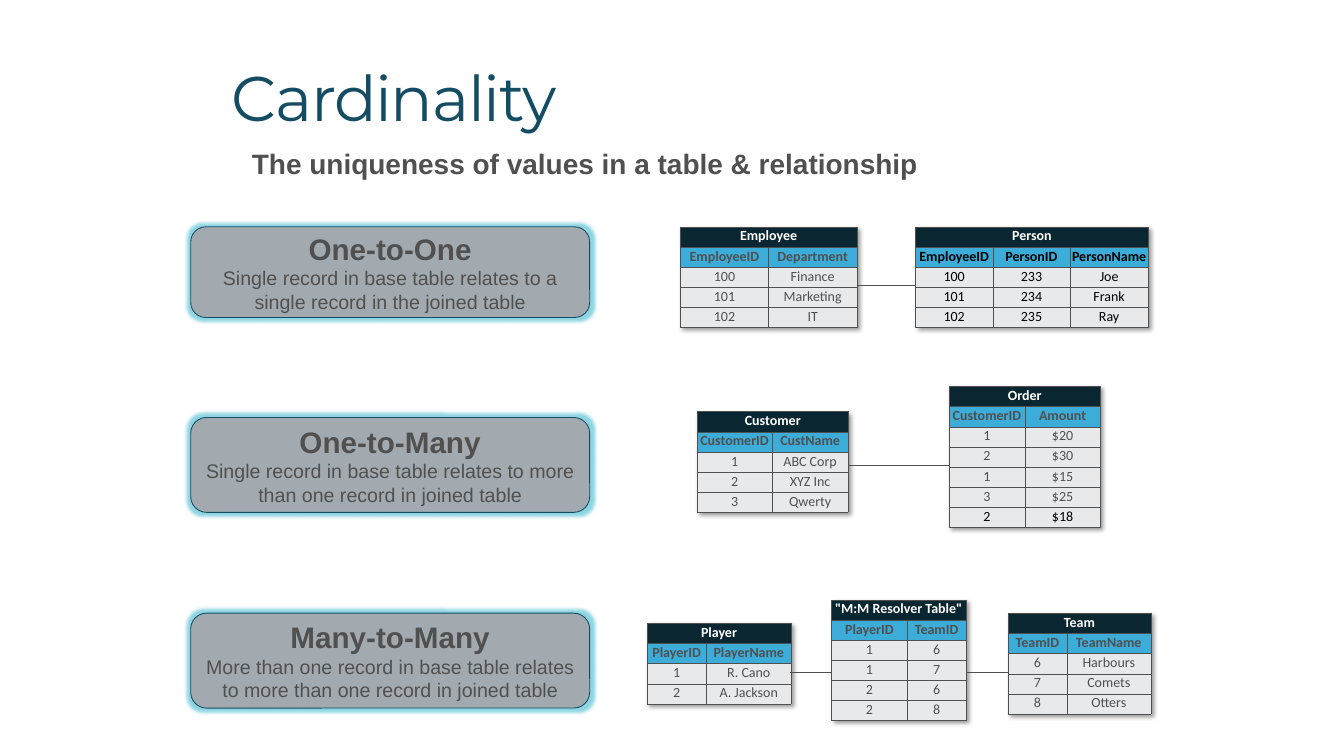
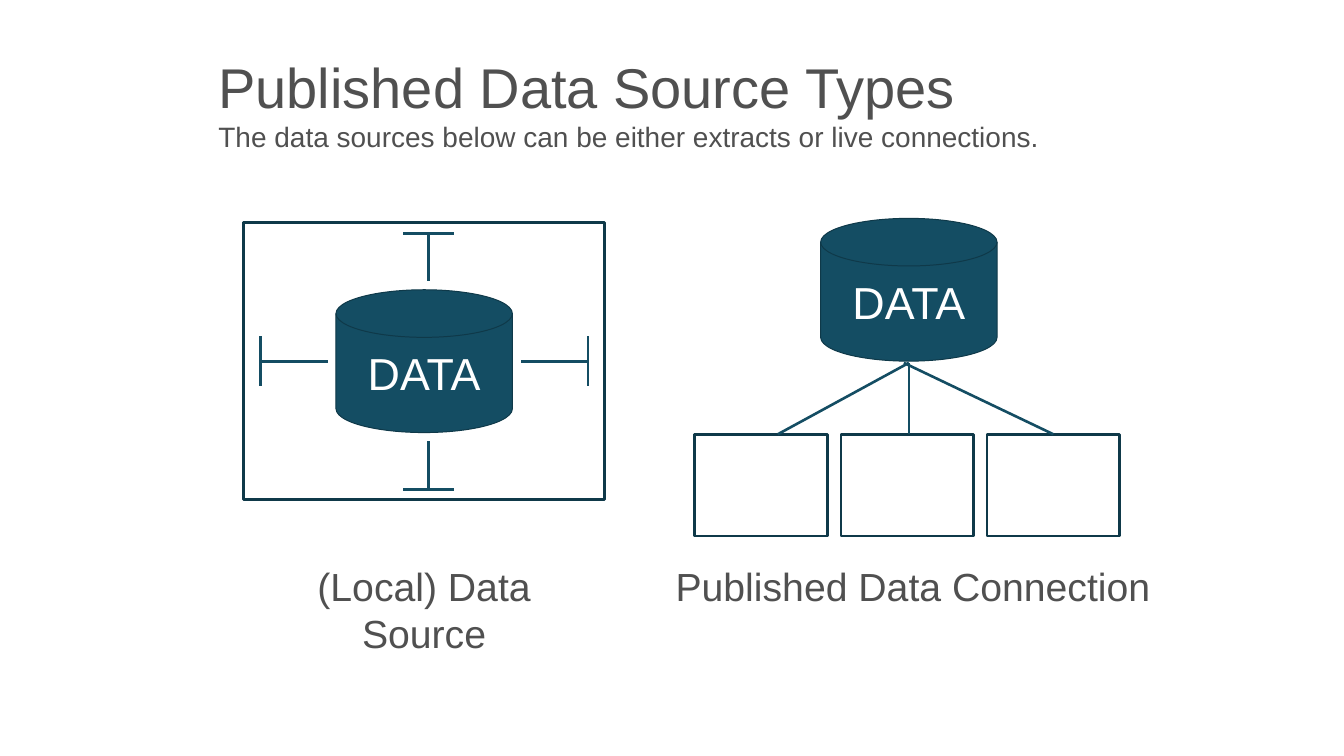
import lxml.etree
import pptx
import pptx.dml.color
import pptx.enum.shapes
import pptx.enum.text
import pptx.oxml.ns
import pptx.util

Inches = pptx.util.Inches
Pt = pptx.util.Pt
qn = pptx.oxml.ns.qn
SHAPES = pptx.enum.shapes.MSO_SHAPE
ALIGN = pptx.enum.text.PP_ALIGN
ANCHOR = pptx.enum.text.MSO_ANCHOR

COLORS = {
    "teal": "144D63",
    "outline": "0F3949",
    "grey": "505050",
    "card": "A2AAB0",
    "glow": "7FD0DE",
    "table_head": "0A2631",
    "column_head": "3CACD8",
    "cell": "E7E9EA",
    "white": "FFFFFF",
    "black": "000000",
}
ROW_HEIGHT = 0.24


def rgb(name):
    """Return the named colour."""
    return pptx.dml.color.RGBColor.from_string(COLORS[name])


def add_color(parent, name, alpha):
    """Add a translucent colour element to an XML parent."""
    color = lxml.etree.SubElement(parent, qn("a:srgbClr"), val=COLORS[name])
    lxml.etree.SubElement(color, qn("a:alpha"), val=str(alpha * 1000))


class Deck:
    """Hold the shared style and the current slide."""

    def __init__(self):
        """Start an empty widescreen presentation."""
        self.presentation = pptx.Presentation()
        self.presentation.slide_width = Inches(16)
        self.presentation.slide_height = Inches(9)
        self.slide = None

    def new_slide(self):
        """Add a slide that has only a title."""
        layout = self.presentation.slide_layouts[5]
        self.slide = self.presentation.slides.add_slide(layout)

    def set_text(self, shape, lines, color="grey", align=ALIGN.CENTER, anchor=ANCHOR.MIDDLE, font="Arial"):
        """Fill a shape with lines of (text, size, bold)."""
        frame = shape.text_frame
        frame.text = "\n".join(line[0] for line in lines)
        frame.word_wrap = True
        frame.vertical_anchor = anchor
        for paragraph, (_, size, bold) in zip(frame.paragraphs, lines):
            paragraph.alignment = align
            for run in paragraph.runs:
                run.font.name = font
                run.font.size = Pt(size)
                run.font.bold = bold
                run.font.color.rgb = rgb(color)

    def title(self, left, top, width, height, lines, **style):
        """Move and fill the title placeholder."""
        shape = self.slide.shapes.title
        shape.left, shape.top = Inches(left), Inches(top)
        shape.width, shape.height = Inches(width), Inches(height)
        self.set_text(shape, lines, align=ALIGN.LEFT, anchor=ANCHOR.TOP, **style)
        shape.text_frame.auto_size = pptx.enum.text.MSO_AUTO_SIZE.NONE
        return shape

    def text(self, left, top, width, height, line, align=ALIGN.CENTER):
        """Add a text box with one paragraph."""
        box = self.slide.shapes.add_textbox(Inches(left), Inches(top), Inches(width), Inches(height))
        self.set_text(box, [line], align=align, anchor=ANCHOR.TOP)

    def shape(self, kind, left, top, width, height, line, weight, fill=None):
        """Add a preset shape with an outline and an optional fill."""
        shape = self.slide.shapes.add_shape(kind, Inches(left), Inches(top), Inches(width), Inches(height))
        shape.shadow.inherit = False
        shape.line.color.rgb = rgb(line)
        shape.line.width = Pt(weight)
        if fill:
            shape.fill.solid()
            shape.fill.fore_color.rgb = rgb(fill)
        else:
            shape.fill.background()
        return shape

    def frame(self, left, top, width, height):
        """Add an empty outlined rectangle."""
        self.shape(SHAPES.RECTANGLE, left, top, width, height, "outline", 2.25)

    def card(self, top, height, heading, description):
        """Add a glowing rounded card."""
        card = self.shape(SHAPES.ROUNDED_RECTANGLE, 2.27, top, 4.75, height, "teal", 0.75, "card")
        effects = card.element.spPr.find(qn("a:effectLst"))
        glow = lxml.etree.SubElement(effects, qn("a:glow"), rad=str(Pt(6)))
        add_color(glow, "glow", 90)
        self.set_text(card, [(heading, 25.4, True), (description, 16.8, False)])

    def cylinder(self, left, top):
        """Add a data store."""
        disk = self.shape(SHAPES.FLOWCHART_MAGNETIC_DISK, left, top, 2.1, 1.7, "outline", 0.85, "teal")
        self.set_text(disk, [("DATA", 38.4, False)], color="white")

    def line(self, x1, y1, x2, y2, color="teal", weight=2.25):
        """Add a straight line."""
        connector = self.slide.shapes.add_connector(
            pptx.enum.shapes.MSO_CONNECTOR.STRAIGHT, Inches(x1), Inches(y1), Inches(x2), Inches(y2))
        connector.line.color.rgb = rgb(color)
        connector.line.width = Pt(weight)
        lxml.etree.SubElement(connector.element.spPr, qn("a:effectLst"))

    def barred_line(self, x, y, dx, dy):
        """Add a line that starts at the middle of a crossbar."""
        half_x, half_y = (0, 0.3) if dx else (0.3, 0)
        self.line(x - half_x, y - half_y, x + half_x, y + half_y)
        self.line(x, y, x + dx, y + dy)

    def cell(self, cell, text, fill, color, bold):
        """Fill and border one table cell."""
        cell.margin_left = cell.margin_top = cell.margin_right = Inches(0.01)
        cell.margin_bottom = 0
        self.set_text(cell, [(text, 12, bold)], color=color, anchor=ANCHOR.BOTTOM, font="Calibri")
        properties = cell._tc.get_or_add_tcPr()
        for side in ("a:lnL", "a:lnR", "a:lnT", "a:lnB"):
            border = lxml.etree.SubElement(properties, qn(side), w=str(Pt(0.25)))
            solid = lxml.etree.SubElement(border, qn("a:solidFill"))
            lxml.etree.SubElement(solid, qn("a:srgbClr"), val=COLORS["grey"])
        cell.fill.solid()
        cell.fill.fore_color.rgb = rgb(fill)

    def table(self, left, top, widths, name, rows, black_rows=()):
        """Add a named database table with a shadow."""
        columns = len(widths)
        rows = [[name] + [""] * (columns - 1)] + rows
        table = self.slide.shapes.add_table(
            len(rows), columns, Inches(left), Inches(top),
            Inches(sum(widths)), Inches(ROW_HEIGHT * len(rows))).table
        table.first_row = table.horz_banding = False
        for column, width in zip(table.columns, widths):
            column.width = Inches(width)
        for index, values in enumerate(rows):
            table.rows[index].height = Inches(ROW_HEIGHT)
            fill = ("table_head", "column_head")[index] if index < 2 else "cell"
            color = "black" if index in black_rows else "grey" if index else "white"
            for column, value in enumerate(values):
                self.cell(table.cell(index, column), value, fill, color, index < 2)
        table.cell(0, 0).merge(table.cell(0, columns - 1))
        effects = lxml.etree.Element(qn("a:effectLst"))
        shadow = lxml.etree.SubElement(
            effects, qn("a:outerShdw"), blurRad=str(Pt(4)), dist=str(Pt(3)),
            dir="2700000", algn="tl", rotWithShape="0")
        add_color(shadow, "black", 40)
        table._tbl.tblPr.insert(0, effects)


def cardinality_slide(deck):
    """Build the slide on cardinality."""
    deck.new_slide()
    title = deck.title(2.6, 0.7, 10.8, 1, [("Cardinality", 54, False)], color="teal", font="Montserrat")
    title.text_frame.margin_left = title.text_frame.margin_right = Inches(0.16)
    title.text_frame.margin_top = title.text_frame.margin_bottom = Inches(0.1)
    paragraph = title.text_frame.paragraphs[0]
    paragraph.line_spacing = 0.9
    paragraph.runs[0].font._element.set("spc", "-120")
    deck.text(2.9, 1.7, 8.2, 0.5, ("The uniqueness of values in a table & relationship", 24, True), ALIGN.LEFT)

    cards = [
        (2.7, 1.08, "One-to-One", "Single record in base table relates to a single record in the joined table"),
        (4.97, 1.13, "One-to-Many", "Single record in base table relates to more than one record in joined table"),
        (7.3, 1.13, "Many-to-Many",
         "More than one record in base table relates to more than one record in joined table"),
    ]
    for card in cards:
        deck.card(*card)

    tables = [
        (10.9, 2.7, [0.92, 0.92, 0.93], "Person",
         [["EmployeeID", "PersonID", "PersonName"],
          ["100", "233", "Joe"], ["101", "234", "Frank"], ["102", "235", "Ray"]], range(1, 5)),
        (8.1, 2.7, [1.05, 1.05], "Employee",
         [["EmployeeID", "Department"], ["100", "Finance"], ["101", "Marketing"], ["102", "IT"]]),
        (8.3, 4.9, [0.89, 0.91], "Customer",
         [["CustomerID", "CustName"], ["1", "ABC Corp"], ["2", "XYZ Inc"], ["3", "Qwerty"]]),
        (11.3, 4.6, [0.9, 0.9], "Order",
         [["CustomerID", "Amount"], ["1", "$20"], ["2", "$30"], ["1", "$15"], ["3", "$25"], ["2", "$18"]], [6]),
        (7.7, 7.42, [0.71, 1.01], "Player",
         [["PlayerID", "PlayerName"], ["1", "R. Cano"], ["2", "A. Jackson"]]),
        (9.9, 7.14, [0.9, 0.7], '"M:M Resolver Table"',
         [["PlayerID", "TeamID"], ["1", "6"], ["1", "7"], ["2", "6"], ["2", "8"]]),
        (12, 7.3, [0.7, 1], "Team",
         [["TeamID", "TeamName"], ["6", "Harbours"], ["7", "Comets"], ["8", "Otters"]]),
    ]
    for table in tables:
        deck.table(*table)
    for start, end, y in [(10.2, 10.9, 3.4), (10.1, 11.3, 5.54), (9.4, 9.9, 8), (11.5, 12, 8)]:
        deck.line(start, y, end, y, "grey", 0.85)


def data_source_slide(deck):
    """Build the slide on data source types."""
    deck.new_slide()
    deck.title(2.5, 0.57, 10.93, 1.31, [
        ("Published Data Source Types", 48, False),
        ("The data sources below can be either extracts or live connections.", 24, False)])

    deck.frame(2.9, 2.65, 4.3, 3.3)
    deck.cylinder(4, 3.45)
    for arm in [(5.1, 2.78, 0, 0.57), (7, 4.3, -0.8, 0), (3.1, 4.3, 0.8, 0), (5.1, 5.83, 0, -0.58)]:
        deck.barred_line(*arm)
    deck.text(2.9, 6.65, 4.3, 1.23, ("(Local) Data Source", 33.6, False))

    deck.cylinder(9.77, 2.6)
    for index in range(3):
        deck.frame(8.27 + 1.74 * index, 5.17, 1.58, 1.21)
    for start, end in [(10.82, 9.26), (10.82, 10.82), (10.76, 12.54)]:
        deck.line(start, 4.32, end, 5.17)
    deck.text(7.92, 6.65, 5.9, 0.67, ("Published Data Connection", 33.6, False))


def main():
    """Build and save the presentation."""
    deck = Deck()
    cardinality_slide(deck)
    data_source_slide(deck)
    deck.presentation.save("out.pptx")


if __name__ == "__main__":
    main()
